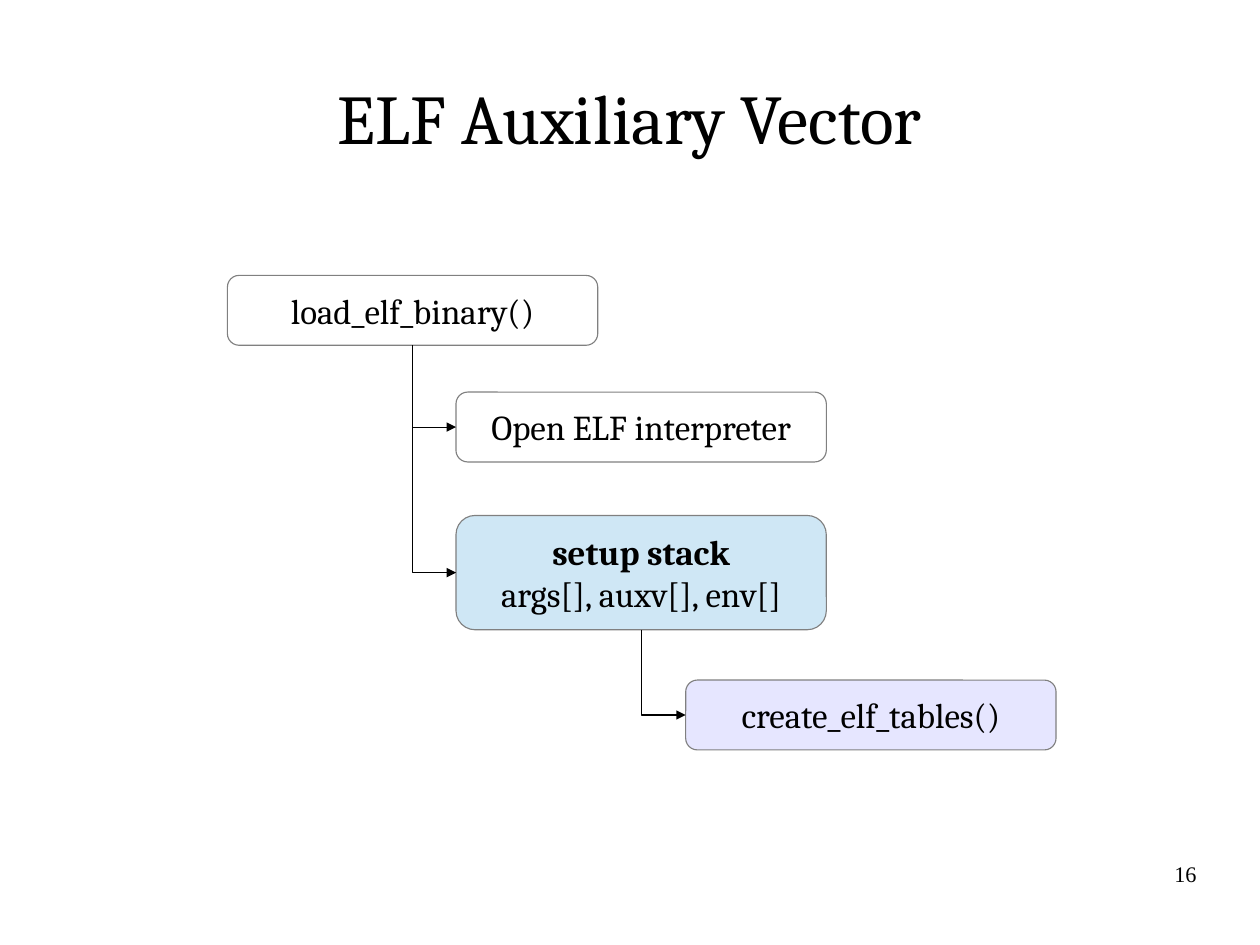
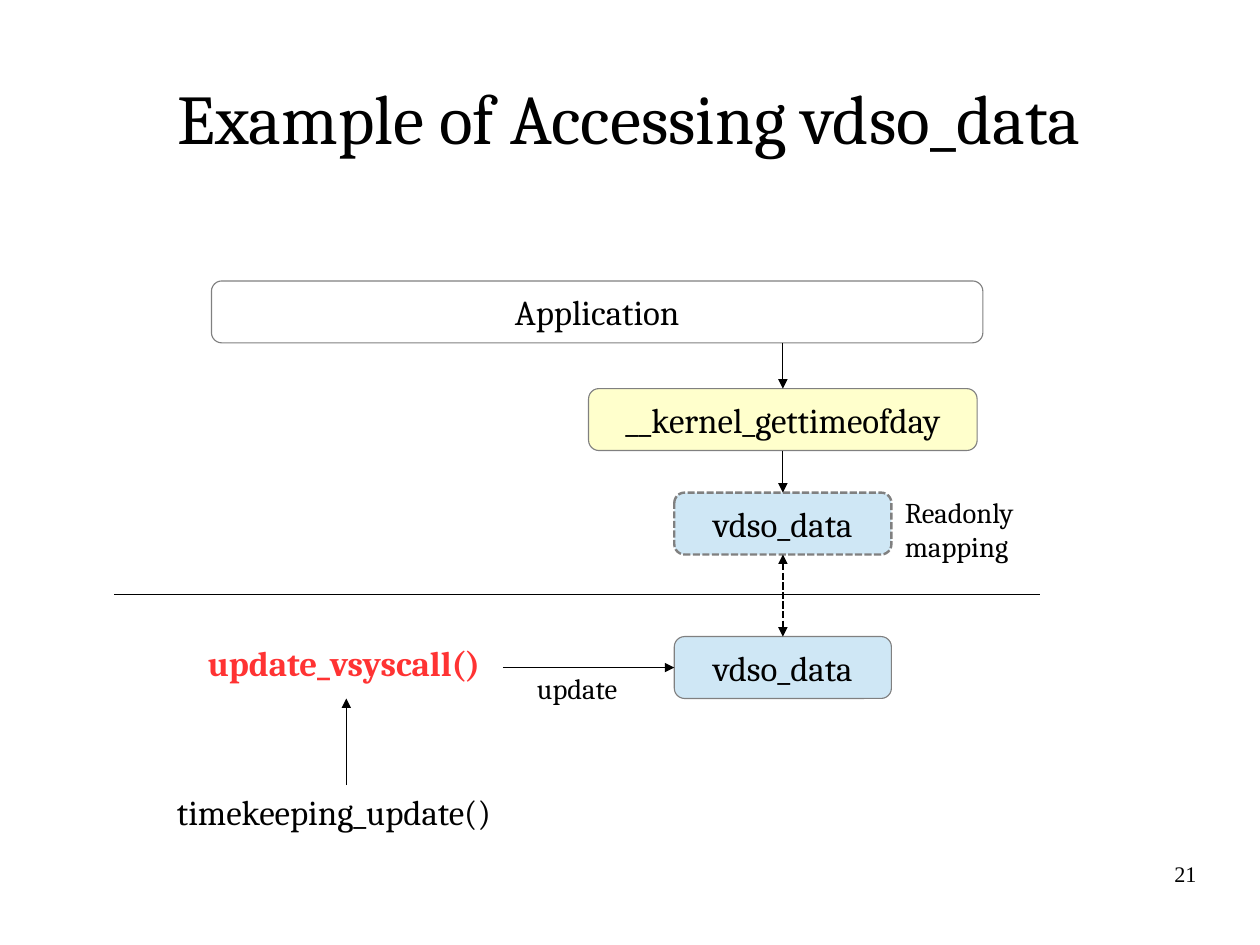
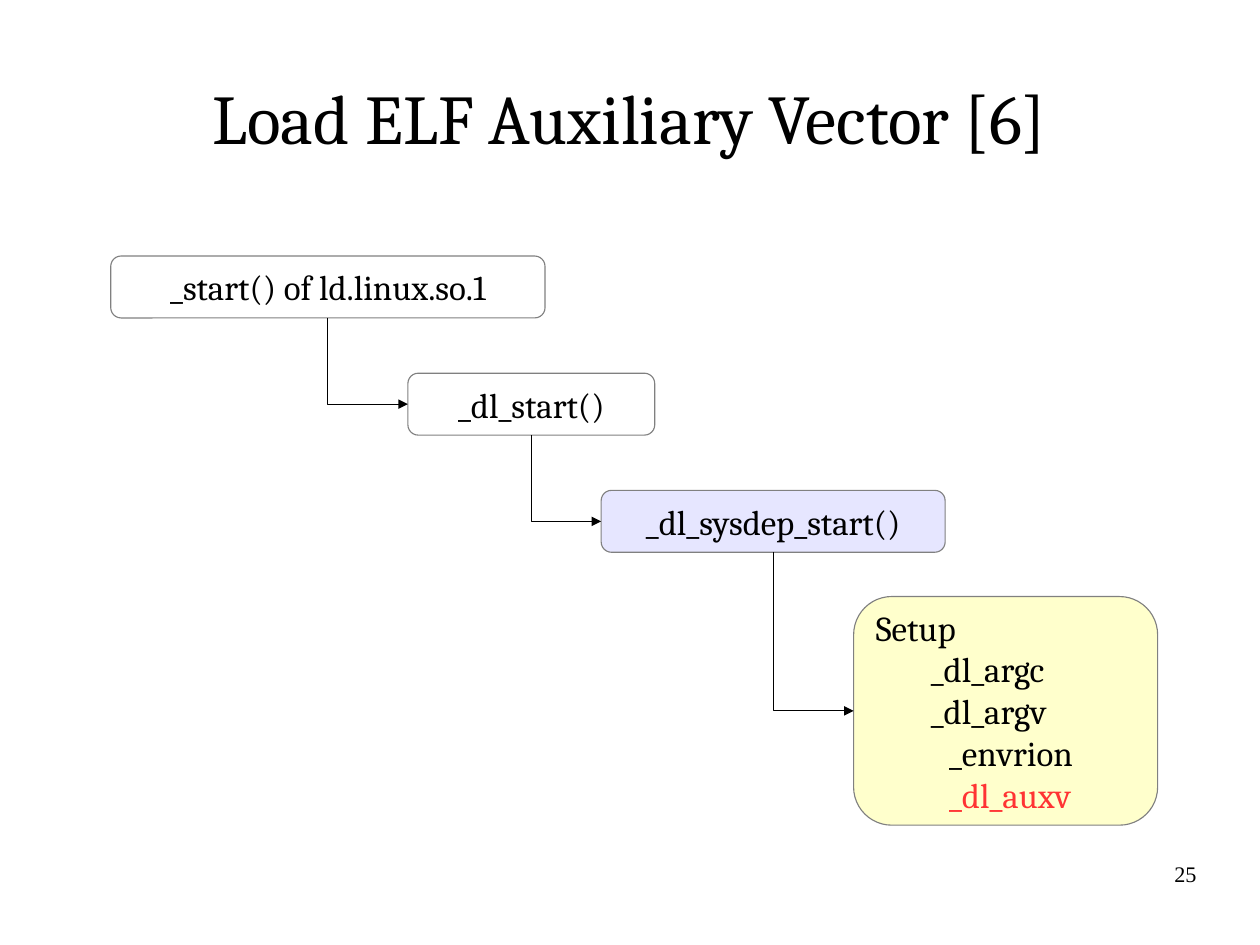
from dataclasses import dataclass
from typing import Any, Optional, Union

from lxml import etree
from pptx import Presentation
from pptx.dml.color import RGBColor
from pptx.enum.dml import MSO_LINE
from pptx.enum.shapes import MSO_CONNECTOR, MSO_SHAPE
from pptx.enum.text import MSO_ANCHOR, PP_ALIGN
from pptx.oxml.ns import qn
from pptx.util import Pt

ROUNDED = MSO_SHAPE.ROUNDED_RECTANGLE
STRAIGHT, ELBOW = MSO_CONNECTOR.STRAIGHT, MSO_CONNECTOR.ELBOW
TOP, MIDDLE = MSO_ANCHOR.TOP, MSO_ANCHOR.MIDDLE
LEFT, CENTER, RIGHT = PP_ALIGN.LEFT, PP_ALIGN.CENTER, PP_ALIGN.RIGHT
DOTTED = MSO_LINE.SQUARE_DOT
TOP_SIDE, LEFT_SIDE, BOTTOM_SIDE = 0, 1, 2


# Theme: colours, fonts, sizes and shared places
@dataclass(frozen=True)
class Theme:
    black: str = "000000"
    white: str = "FFFFFF"
    grey: str = "808080"
    red: str = "FF3333"
    blue: str = "CFE7F5"
    lilac: str = "E6E6FF"
    yellow: str = "FFFFCC"
    font: str = "Cambria"
    number_font: str = "Times New Roman"
    title_size: float = 44
    body_size: float = 22
    note_size: float = 18
    number_size: float = 14
    thin: float = 0.71
    thick: float = 1.5


THEME = Theme()
SLIDE_SIZE = (793.75, 595.25)
TITLE_AREA = (39.6, 23.8, 714.2, 99.4)
NUMBER_AREA = (568.8, 542.2, 185, 41)
BOX_INSETS = (7.2, 3.6)

Area = tuple[float, float, float, float]
Point = tuple[float, float]


# Parts of a diagram
@dataclass(frozen=True)
class Line:
    text: str
    bold: bool = False
    color: str = THEME.black
    indent: float = 0
    size: float = THEME.body_size
    font: str = THEME.font


@dataclass(frozen=True)
class Box:
    area: Area
    lines: list[Line]
    fill: str = THEME.white
    align: Any = CENTER
    dotted: bool = False


@dataclass(frozen=True)
class Label:
    area: Area
    line: Line


@dataclass(frozen=True)
class Joint:
    box: str
    side: int


@dataclass(frozen=True)
class Link:
    start: Union[Joint, Point]
    end: Union[Joint, Point]
    head: bool = False
    tail: bool = True
    dotted: bool = False


@dataclass(frozen=True)
class Diagram:
    title: str
    number: str
    boxes: dict[str, Box]
    labels: tuple[Label, ...] = ()
    links: tuple[Link, ...] = ()
    elbows: tuple[tuple[str, str], ...] = ()


# Drawing functions
def apply_format(target: Any, values: dict[str, Any]) -> None:
    for name, value in values.items():
        setattr(target, name, value)


def write_text(shape: Any, lines: list[Line], align: Any, anchor: Any,
               insets: Point = BOX_INSETS) -> None:
    frame = shape.text_frame
    horizontal, vertical = map(Pt, insets)
    apply_format(frame, {
        "word_wrap": True, "vertical_anchor": anchor,
        "margin_left": horizontal, "margin_right": horizontal,
        "margin_top": vertical, "margin_bottom": vertical,
    })
    for index, line in enumerate(lines):
        paragraph = frame.add_paragraph() if index else frame.paragraphs[0]
        paragraph.alignment = align
        if line.indent:
            properties = paragraph._p.get_or_add_pPr()
            properties.set("marL", str(int(Pt(line.indent))))
            properties.set("indent", "0")
        run = paragraph.add_run()
        run.text = line.text
        apply_format(run.font, {"name": line.font, "size": Pt(line.size), "bold": line.bold})
        run.font.color.rgb = RGBColor.from_string(line.color)


def draw_text(slide: Any, area: Area, line: Line, align: Any = LEFT,
              anchor: Any = TOP, insets: Point = BOX_INSETS) -> None:
    shape = slide.shapes.add_textbox(*map(Pt, area))
    write_text(shape, [line], align, anchor, insets)


def style_line(line: Any, color: str, dotted: bool) -> None:
    line.color.rgb = RGBColor.from_string(color)
    line.width = Pt(THEME.thick if dotted else THEME.thin)
    if dotted:
        line.dash_style = DOTTED


def draw_box(slide: Any, box: Box) -> Any:
    shape = slide.shapes.add_shape(ROUNDED, *map(Pt, box.area))
    shape.shadow.inherit = False
    shape.fill.solid()
    shape.fill.fore_color.rgb = RGBColor.from_string(box.fill)
    style_line(shape.line, THEME.grey, box.dotted)
    write_text(shape, box.lines, box.align, MIDDLE)
    return shape


def draw_link(slide: Any, link: Link, shapes: dict[str, Any], kind: Any = STRAIGHT) -> Any:
    points = [(0, 0) if isinstance(end, Joint) else end for end in (link.start, link.end)]
    connector = slide.shapes.add_connector(kind, *(Pt(value) for point in points for value in point))
    for end, connect in ((link.start, connector.begin_connect), (link.end, connector.end_connect)):
        if isinstance(end, Joint):
            connect(shapes[end.box], end.side)
    style_line(connector.line, THEME.black, link.dotted)
    properties = connector._element.spPr
    outline = properties.find(qn("a:ln"))
    for name, wanted in (("a:headEnd", link.head), ("a:tailEnd", link.tail)):
        if wanted:
            etree.SubElement(outline, qn(name), type="triangle")
    etree.SubElement(properties, qn("a:effectLst"))
    return connector


def draw_elbow(slide: Any, parent: str, child: str, shapes: dict[str, Any]) -> None:
    """Go down from the parent's bottom, then right to the child's left side."""
    link = Link(Joint(parent, BOTTOM_SIDE), Joint(child, LEFT_SIDE))
    connector = draw_link(slide, link, shapes, ELBOW)
    across = connector.end_x - connector.begin_x
    down = connector.end_y - connector.begin_y
    middle_x = (connector.begin_x + connector.end_x) // 2
    middle_y = (connector.begin_y + connector.end_y) // 2
    # A single bend is turned by 270 degrees, so width and height change places
    apply_format(connector, {
        "left": middle_x - down // 2, "top": middle_y - across // 2,
        "width": down, "height": across,
    })
    properties = connector._element.spPr
    properties.find(qn("a:prstGeom")).set("prst", "bentConnector2")
    transform = properties.find(qn("a:xfrm"))
    transform.set("rot", "16200000")
    transform.set("flipH", "1")


def draw_diagram(presentation: Any, diagram: Diagram) -> None:
    slide = presentation.slides.add_slide(presentation.slide_layouts[6])
    draw_text(slide, TITLE_AREA, Line(diagram.title, size=THEME.title_size),
              CENTER, MIDDLE, (0, 0))
    shapes = {name: draw_box(slide, box) for name, box in diagram.boxes.items()}
    for label in diagram.labels:
        draw_text(slide, label.area, label.line)
    for link in diagram.links:
        draw_link(slide, link, shapes)
    for parent, child in diagram.elbows:
        draw_elbow(slide, parent, child, shapes)
    number = Line(diagram.number, size=THEME.number_size, font=THEME.number_font)
    draw_text(slide, NUMBER_AREA, number, RIGHT, TOP, (0, 0))


# Slide contents
def auxiliary_vector() -> Diagram:
    width, height, second_column = 233.3, 44, 287.3
    return Diagram(
        "ELF Auxiliary Vector", "16",
        boxes={
            "load": Box((143.3, 173.5, width, height), [Line("load_elf_binary()")]),
            "open": Box((second_column, 247, width, height), [Line("Open ELF interpreter")]),
            "stack": Box((second_column, 324.7, width, 72),
                         [Line("setup stack", bold=True), Line("args[], auxv[], env[]")],
                         THEME.blue),
            "tables": Box((432, 428.4, width, height), [Line("create_elf_tables()")], THEME.lilac),
        },
        elbows=(("load", "open"), ("load", "stack"), ("stack", "tables")),
    )


def accessing_data() -> Diagram:
    height, data_left, data_width = 39, 424.8, 136.8
    data_top, center = 401, data_left + data_width / 2
    update_y = data_top + height / 2
    application_top, border_y, call_x = 177, 374.4, 218.2
    data = [Line("vdso_data")]
    return Diagram(
        "Example of Accessing vdso_data", "21",
        boxes={
            "data": Box((data_left, data_top, data_width, height), data, THEME.blue),
            "mapping": Box((data_left, 310.3, data_width, height), data, THEME.blue, dotted=True),
            "gettime": Box((370.8, 244.8, 244.8, height), [Line("__kernel_gettimeofday")],
                           THEME.yellow),
            "application": Box((133.2, application_top, 486, height), [Line("Application")]),
        },
        labels=(
            Label((104.4, 494.6, 242, height), Line("timekeeping_update()")),
            Label((123.8, 400.3, 207.4, height),
                  Line("update_vsyscall()", bold=True, color=THEME.red)),
            Label((331.2, 419, 81.4, 34), Line("update", size=THEME.note_size)),
            Label((563, 308.2, 91.4, 81), Line("Readonly mapping", size=THEME.note_size)),
        ),
        links=(
            Link((72, border_y), (655.2, border_y), tail=False),
            Link((call_x, 494.6), (call_x, 440)),
            Link((316.8, update_y), Joint("data", LEFT_SIDE)),
            Link((center, application_top + height), Joint("gettime", TOP_SIDE)),
            Link(Joint("gettime", BOTTOM_SIDE), Joint("mapping", TOP_SIDE)),
            Link(Joint("mapping", BOTTOM_SIDE), Joint("data", TOP_SIDE), head=True, dotted=True),
        ),
    )


def load_auxiliary_vector() -> Diagram:
    height, top, step = 39, 161.3, 73.8
    setup = [
        Line("Setup"),
        Line("_dl_argc", indent=34.5),
        Line("_dl_argv", indent=34.5),
        Line("_envrion", indent=46),
        Line("_dl_auxv", indent=46, color=THEME.red),
    ]
    return Diagram(
        "Load ELF Auxiliary Vector [6]", "25",
        boxes={
            "start": Box((69.8, top, 273.6, height), [Line("_start() of ld.linux.so.1")]),
            "dl_start": Box((257, top + step, 155.5, height), [Line("_dl_start()")]),
            "sysdep": Box((378.7, top + 2 * step, 216.7, height), [Line("_dl_sysdep_start()")],
                          THEME.lilac),
            "setup": Box((537.8, 375.8, 191.5, 144), setup, THEME.yellow, LEFT),
        },
        elbows=(("start", "dl_start"), ("dl_start", "sysdep"), ("sysdep", "setup")),
    )


def main() -> None:
    presentation = Presentation()
    presentation.slide_width, presentation.slide_height = map(Pt, SLIDE_SIZE)
    for diagram in (auxiliary_vector(), accessing_data(), load_auxiliary_vector()):
        draw_diagram(presentation, diagram)
    presentation.save("out.pptx")


if __name__ == "__main__":
    main()
